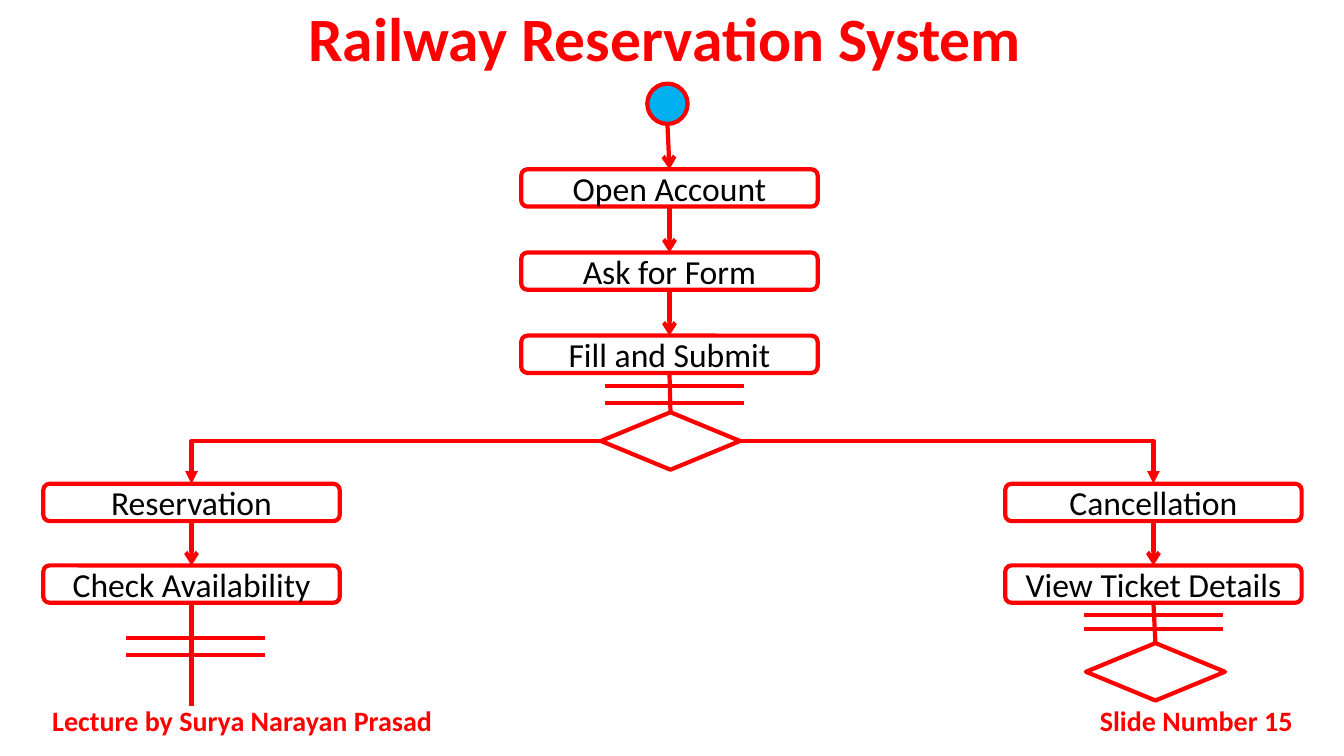
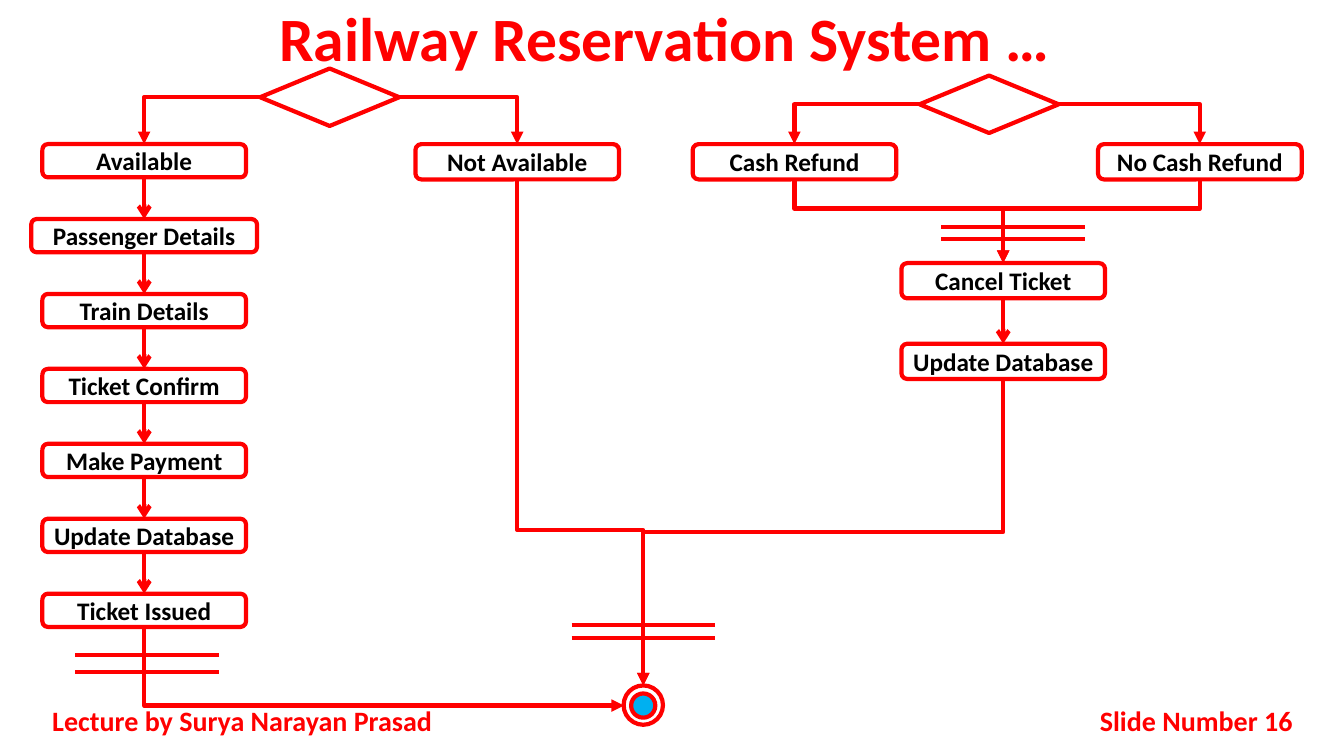
from lxml import etree
from pptx import Presentation
from pptx.dml.color import RGBColor
from pptx.enum.shapes import MSO_CONNECTOR, MSO_SHAPE
from pptx.enum.text import MSO_ANCHOR, MSO_AUTO_SIZE, PP_ALIGN
from pptx.oxml.ns import qn
from pptx.util import Inches, Pt

RED = RGBColor(0xFF, 0x00, 0x00)
BLUE = RGBColor(0x00, 0xB0, 0xF0)
WHITE = RGBColor(0xFF, 0xFF, 0xFF)
BLACK = RGBColor(0x00, 0x00, 0x00)
FONT = "Calibri"
LINE_WIDTH = Pt(3)
STRAIGHT, ELBOW = MSO_CONNECTOR.STRAIGHT, MSO_CONNECTOR.ELBOW
OVAL, ROUNDED = MSO_SHAPE.OVAL, MSO_SHAPE.ROUNDED_RECTANGLE
DIAMOND = MSO_SHAPE.FLOWCHART_DECISION
LEFT_EDGES, CENTER, RIGHT = PP_ALIGN.JUSTIFY, PP_ALIGN.CENTER, PP_ALIGN.RIGHT
MIDDLE, NO_FIT = MSO_ANCHOR.MIDDLE, MSO_AUTO_SIZE.NONE
TOP_SITE, BOTTOM_SITE = 0, 2
SLIDE_W, SLIDE_H = 13.33, 7.5
DIAMOND_W, DIAMOND_H = 1.38, 0.57
LARGE = dict(w=2.94, h=0.37, size=24)
SMALL = dict(w=2.02, h=0.35, size=18, bold=True)
WIDTHS = {"Passenger Details": 2.24}


def write(sp, text, size=20, color=RED, bold=False, align=CENTER,
          inset=0.1, spacing=None):
    """Put one formatted paragraph into a shape."""
    tf = sp.text_frame
    tf.word_wrap = True
    tf.auto_size = NO_FIT
    tf.vertical_anchor = MIDDLE
    tf.margin_left = tf.margin_right = Inches(inset)
    tf.margin_top = tf.margin_bottom = Inches(inset / 2)
    p = tf.paragraphs[0]
    p.alignment = align
    p.line_spacing = spacing
    r = p.add_run()
    r.text = text
    r.font.name, r.font.size, r.font.bold = FONT, Pt(size), bold
    r.font.color.rgb = color


def add_slide(prs, title, number):
    """Add a slide with its title and both footers."""
    s = prs.slides.add_slide(prs.slide_layouts[5])
    sp = s.shapes.title
    sp.left, sp.top = Inches(0), Inches(0)
    sp.width, sp.height = Inches(SLIDE_W), Inches(0.83)
    write(sp, title, size=44, bold=True, spacing=0.9)
    for x, w, text, align in (
            (0.42, 4.17, "Lecture by Surya Narayan Prasad", LEFT_EDGES),
            (10.17, 2.75, f"Slide Number {number}", RIGHT)):
        sp = s.shapes.add_textbox(Inches(x), Inches(6.95), Inches(w), Inches(0.4))
        write(sp, text, bold=True, align=align)
    return s


def outline(s, kind, cx, top, w, h, fill=None):
    """Add a red outlined shape centred on cx."""
    sp = s.shapes.add_shape(kind, Inches(cx - w / 2), Inches(top), Inches(w), Inches(h))
    sp.shadow.inherit = False
    sp.line.color.rgb = RED
    sp.line.width = LINE_WIDTH
    if fill is None:
        sp.fill.background()
    else:
        sp.fill.solid()
        sp.fill.fore_color.rgb = fill
    return sp


def line(s, x1, y1, x2, y2, head=None, kind=STRAIGHT):
    """Add a red connector, with an arrowhead if one is named."""
    cn = s.shapes.add_connector(kind, Inches(x1), Inches(y1), Inches(x2), Inches(y2))
    cn.line.color.rgb = RED
    cn.line.width = LINE_WIDTH
    spPr = cn._element.spPr
    if head:
        etree.SubElement(spPr.find(qn("a:ln")), qn("a:tailEnd"), type=head)
    etree.SubElement(spPr, qn("a:effectLst"))
    return cn


def across_down(s, x1, y1, x2, y2):
    """Add an arrow that runs sideways, then down."""
    cn = line(s, x1, y1, x2, y2, "triangle", ELBOW)
    cn._element.spPr.find(qn("a:prstGeom")).set("prst", "bentConnector2")


def down_across(s, x1, y1, x2, y2, turn=None):
    """Add an arrow that runs down, sideways, and down again if turn is given."""
    drop, shift = y2 - y1, abs(x2 - x1)
    left, top = (x1 + x2 - drop) / 2, (y1 + y2 - shift) / 2
    cn = line(s, left, top, left + drop, top + shift, "triangle", ELBOW)
    spPr = cn._element.spPr
    xfrm, geom = spPr.find(qn("a:xfrm")), spPr.find(qn("a:prstGeom"))
    xfrm.set("rot", str((270 if x2 > x1 else 90) * 60000))
    if x2 > x1:
        xfrm.set("flipH", "1")
    if turn is None:
        geom.set("prst", "bentConnector2")
    else:
        guides = geom.find(qn("a:avLst"))
        if guides is None:
            guides = etree.SubElement(geom, qn("a:avLst"))
        share = round((turn - y1) / drop * 100000)
        etree.SubElement(guides, qn("a:gd"), name="adj1", fmla=f"val {share}")


def steps(s, cx, first, last, labels, w, h, **fmt):
    """Stack evenly spaced activities joined by arrows."""
    pitch = (last - first) / max(len(labels) - 1, 1)
    above = None
    for i, label in enumerate(labels):
        top = first + i * pitch
        sp = outline(s, ROUNDED, cx, top, WIDTHS.get(label, w), h)
        write(sp, label, color=BLACK, inset=0, **fmt)
        if above is not None:
            cn = line(s, cx, top - pitch + h, cx, top, "arrow")
            cn.begin_connect(above, BOTTOM_SITE)
            cn.end_connect(sp, TOP_SITE)
        above = sp


def bars(s, cx, w, *tops):
    """Add horizontal synchronisation bars."""
    for y in tops:
        line(s, cx - w / 2, y, cx + w / 2, y)


def decision(s, cx, top, targets=(), bottom=None):
    """Add a diamond and its branches to the target columns."""
    outline(s, DIAMOND, cx, top, DIAMOND_W, DIAMOND_H)
    for x in targets:
        side = DIAMOND_W / 2 if x > cx else -DIAMOND_W / 2
        across_down(s, cx + side, top + DIAMOND_H / 2, x, bottom)


def request_slide(prs):
    """Build the flow from the start to both kinds of request."""
    s = add_slide(prs, "Railway Reservation System ", 15)
    main, left, right = 6.64, 1.9, 11.44
    outline(s, OVAL, 6.62, 0.83, 0.4, 0.4, BLUE)
    line(s, 6.62, 1.23, main, 1.68, "arrow")
    steps(s, main, 1.68, 3.33, ("Open Account", "Ask for Form", "Fill and Submit"), **LARGE)
    line(s, main, 3.7, 6.65, 4.09)
    bars(s, 6.69, 1.38, 3.83, 4)
    decision(s, 6.65, 4.09, (left, right), 4.8)
    steps(s, left, 4.8, 5.61, ("Reservation", "Check Availability"), **LARGE)
    line(s, left, 5.98, left, 7)
    bars(s, 1.94, 1.38, 6.33, 6.5)
    steps(s, right, 4.8, 5.61, ("Cancellation", "View Ticket Details"), **LARGE)
    line(s, right, 5.98, 11.46, 6.38)
    bars(s, right, 1.38, 6.1, 6.24)
    decision(s, 11.46, 6.38)


def booking(s, cx, end_x, end_y):
    """Place the availability check and the booking steps."""
    missing = 5.13
    decision(s, 3.27, 0.68, (cx, missing), 1.43)
    steps(s, cx, 1.43, 5.89,
          ("Available", "Passenger Details", "Train Details", "Ticket Confirm",
           "Make Payment", "Update Database", "Ticket Issued"),
          **{**SMALL, "h": 0.33})
    steps(s, missing, 1.43, 1.43, ("Not Available",), **SMALL)
    bars(s, 1.46, 1.43, 6.5, 6.67)
    down_across(s, cx, 6.23, end_x - 0.19, end_y + 0.2)
    down_across(s, missing, 1.78, end_x, end_y, 5.26)


def refund(s, cx, end_x, end_y):
    """Place the refund choice and the cancellation steps."""
    top = 1.43
    choices = {"Cash Refund": 7.88, "No Cash Refund": 11.9}
    decision(s, 9.81, 0.75, choices.values(), top)
    for label, x in choices.items():
        steps(s, x, top, top, (label,), **SMALL)
        down_across(s, x, 1.78, cx, 2.61, 2.07)
    bars(s, 10.05, 1.43, 2.25, 2.37)
    steps(s, cx, 2.61, 3.41, ("Cancel Ticket", "Update Database"), **SMALL)
    down_across(s, cx, 3.76, end_x, end_y, 5.28)


def outcome_slide(prs):
    """Build the booking and refund flows down to the end."""
    s = add_slide(prs, "Railway Reservation System … ", 16)
    end_x, end_y = 6.38, 6.8
    outline(s, OVAL, end_x, end_y, 0.39, 0.39, WHITE)
    outline(s, OVAL, end_x, end_y + 0.08, 0.24, 0.24, BLUE)
    booking(s, 1.43, end_x, end_y)
    refund(s, 9.95, end_x, end_y)
    bars(s, end_x, 1.42, 6.2, 6.33)


prs = Presentation()
prs.slide_width, prs.slide_height = Inches(SLIDE_W), Inches(SLIDE_H)
request_slide(prs)
outcome_slide(prs)
prs.save("out.pptx")
